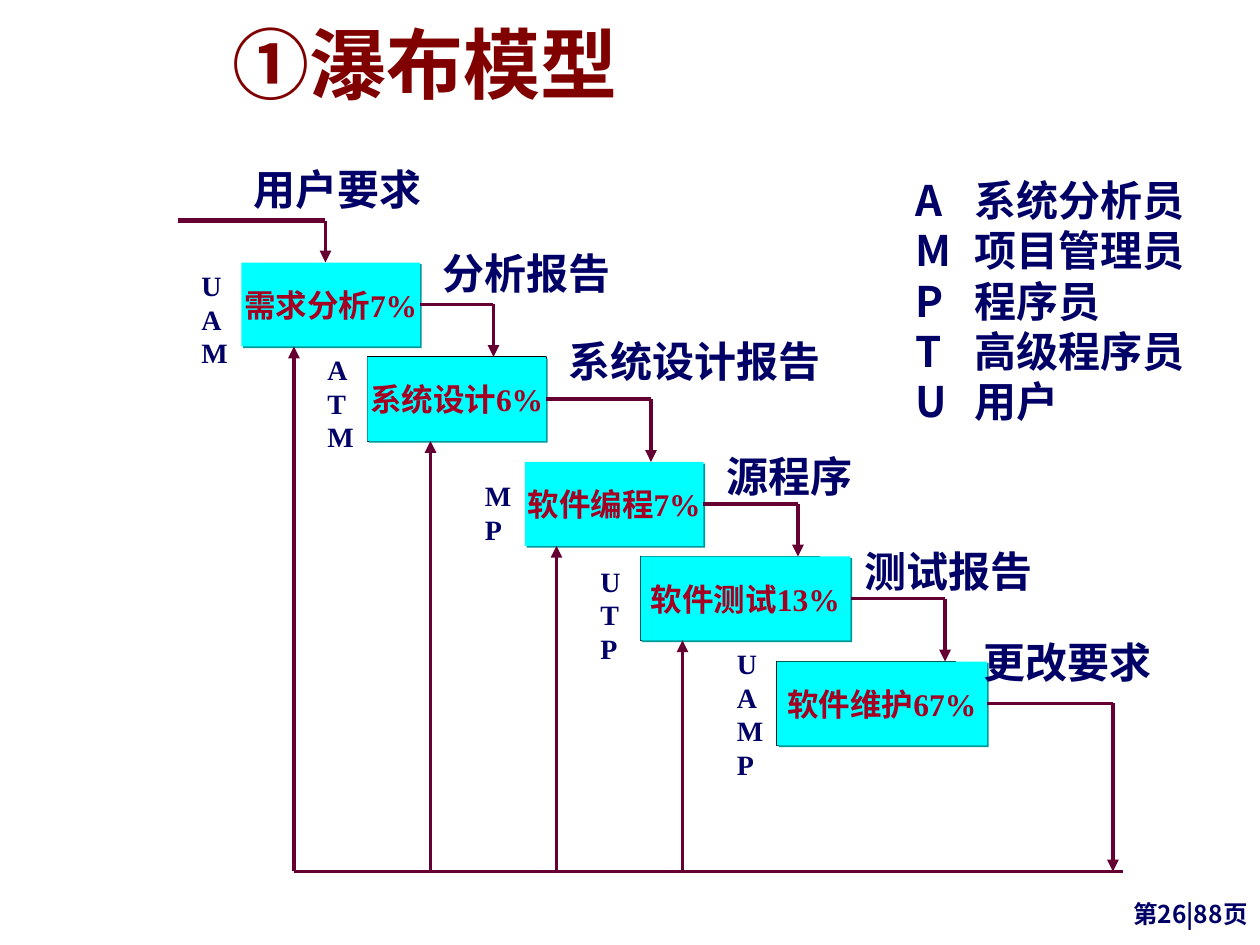
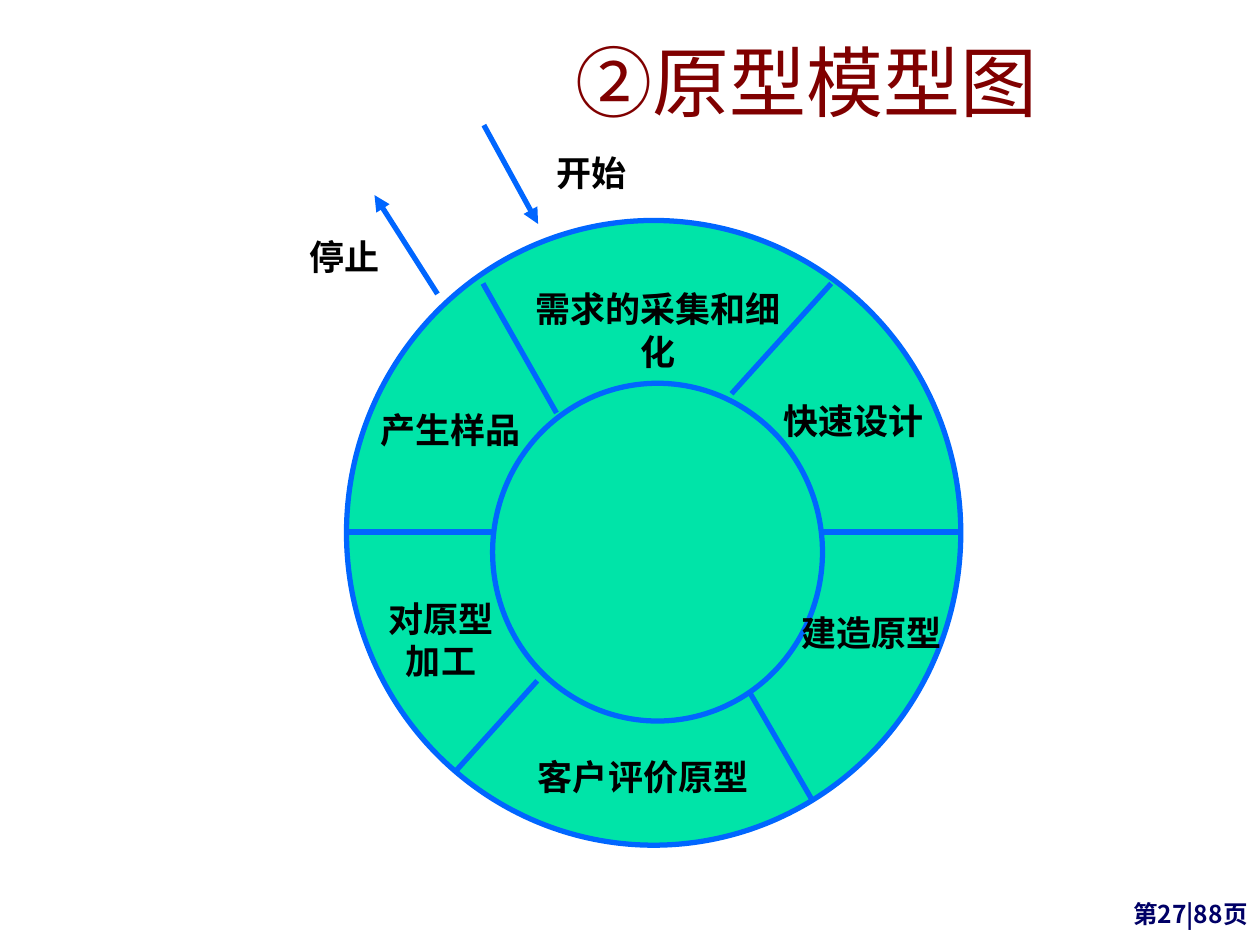
from dataclasses import dataclass

from lxml.etree import SubElement
from pptx import Presentation
from pptx.dml.color import RGBColor
from pptx.enum.shapes import MSO_CONNECTOR as Link, MSO_SHAPE as Preset
from pptx.enum.text import MSO_ANCHOR as Anchor, PP_ALIGN as Align
from pptx.oxml.ns import qn
from pptx.util import Pt


@dataclass(frozen=True)
class Theme:
    title: str = "800000"
    navy: str = "000066"
    stage: str = "00FFFF"
    stage_text: str = "A50021"
    stage_shadow: str = "009999"
    flow: str = "660033"
    ring: str = "00E4A8"
    ring_line: str = "0066FF"
    black: str = "000000"
    sans: str = "Noto Sans CJK SC"
    serif: str = "Times New Roman"
    latin: str = "Arial"
    title_size: int = 44
    label_size: int = 24
    ring_size: int = 20
    stage_size: int = 18
    role_size: int = 16
    footer_size: int = 14


THEME = Theme()
RIGHT_SIDE = 3
PADDING = 14.4  # left and right insets of a text box together

STAGE_HEIGHT = 48
FEEDBACK_Y = 498
# name, left, top, width, roles, roles top, output, output left, output top, drop x
STAGES = [
    ("需求分析7%", 138, 150, 102, "UAM", 150, "分析报告", 246, 138, 282),
    ("系统设计6%", 210, 204, 102, "ATM", 198, "系统设计报告", 318, 188, 372),
    ("软件编程7%", 300, 264, 102, "MP", 270, "源程序", 408, 254, 456),
    ("软件测试13%", 366, 318, 120, "UTP", 319, "测试报告", 487, 308, 540),
    ("软件维护67%", 444, 378, 120, "UAMP", 366, "更改要求", 555, 360, 636),
]
OUTLINED_STAGES = (1, 3, 4)
FEEDBACK_XS = (168, 246, 318, 390)
ROLES = ["A\t系统分析员", "M\t项目管理员", "P\t程序员", "T\t高级程序员", "U\t用户"]

SPOKES = [
    (276, 162, 318, 236), (418, 225, 475, 162), (198, 304, 282, 304),
    (470, 304, 549, 304), (307, 389, 261, 440), (428, 395, 464, 457),
]
# text, centre x, top
RING_LABELS = [
    ("需求的采集和细化", 376, 161), ("快速设计", 488, 225),
    ("建造原型", 498, 346), ("客户评价原型", 367.5, 428),
    ("对原型\n加工", 252, 338), ("产生样品", 257.5, 230),
    ("开始", 338, 83), ("停止", 197, 131),
]


def rgb(code):
    return RGBColor.from_string(code)


def write(frame, text, size, color, font, bold=True, align=Align.LEFT, tab=None):
    """Fill a text frame, one paragraph per line of text."""
    frame.text = text
    for paragraph in frame.paragraphs:
        paragraph.alignment = align
        properties = paragraph._p.get_or_add_pPr()
        if tab:
            stops = SubElement(properties, qn("a:tabLst"))
            SubElement(stops, qn("a:tab"), pos=str(Pt(tab)), algn="l")
        paragraph.font.size = Pt(size)
        paragraph.font.bold = bold
        paragraph.font.color.rgb = rgb(color)
        paragraph.font.name = font
        east_asian = SubElement(properties.find(qn("a:defRPr")), qn("a:ea"))
        east_asian.set("typeface", THEME.sans)


def add_text(slide, box, text, *style, wrap=True, anchor=Anchor.TOP, **options):
    frame = slide.shapes.add_textbox(*map(Pt, box)).text_frame
    frame.word_wrap = wrap
    frame.vertical_anchor = anchor
    write(frame, text, *style, **options)


def add_label(slide, left, top, text, size, font, color, **options):
    """Add an unwrapped label whose box is as wide as its longest line."""
    lines = text.split("\n")
    width = max(map(len, lines)) * size + PADDING
    add_text(slide, (left, top, width, len(lines) * size * 1.2 + 7.2), text,
             size, color, font, wrap=False, **options)


def add_ring_label(slide, center, top, text):
    width = max(map(len, text.split("\n"))) * THEME.ring_size + PADDING
    add_label(slide, center - width / 2, top, text, THEME.ring_size, THEME.latin,
              THEME.black, align=Align.CENTER)


def add_filled(slide, preset, box, fill, line=None, weight=1):
    shape = slide.shapes.add_shape(preset, *map(Pt, box))
    shape.shadow.inherit = False
    shape.fill.solid()
    shape.fill.fore_color.rgb = rgb(fill)
    if line:
        shape.line.color.rgb = rgb(line)
        shape.line.width = Pt(weight)
    else:
        shape.line.fill.background()
    return shape


def add_line(slide, x1, y1, x2, y2, color, weight=2.25, arrow=False):
    line = slide.shapes.add_connector(Link.STRAIGHT, *map(Pt, (x1, y1, x2, y2)))
    line.line.color.rgb = rgb(color)
    line.line.width = Pt(weight)
    properties = line._element.spPr
    if arrow:
        SubElement(properties.find(qn("a:ln")), qn("a:tailEnd"), type="triangle")
    SubElement(properties, qn("a:effectLst"))
    return line


def add_stage(slide, name, box):
    stage = add_filled(slide, Preset.RECTANGLE, box, THEME.stage)
    effects = stage._element.spPr.find(qn("a:effectLst"))
    shadow = SubElement(effects, qn("a:outerShdw"), dist=str(Pt(1.4)),
                        dir=str(45 * 60000), algn="ctr", rotWithShape="0")
    SubElement(shadow, qn("a:srgbClr"), val=THEME.stage_shadow)
    frame = stage.text_frame
    frame.word_wrap = False
    frame.vertical_anchor = Anchor.MIDDLE
    write(frame, name, THEME.stage_size, THEME.stage_text, THEME.serif,
          align=Align.CENTER)
    return stage


def add_page(deck, number):
    slide = deck.slides.add_slide(deck.slide_layouts[6])
    add_text(slide, (570, 504, 150, 30), f"第{number}|88页", THEME.footer_size,
             THEME.navy, THEME.sans, align=Align.RIGHT, anchor=Anchor.BOTTOM)
    return slide


def add_title(slide, box, text, **options):
    add_text(slide, box, text, THEME.title_size, THEME.title, THEME.sans, **options)


def build_waterfall(deck):
    slide = add_page(deck, 26)
    add_title(slide, (126, 0, 516, 66), "①瀑布模型", anchor=Anchor.BOTTOM)

    for index in OUTLINED_STAGES:
        _, left, top, *_ = STAGES[index]
        add_filled(slide, Preset.RECTANGLE, (left, top, 102, STAGE_HEIGHT),
                   THEME.stage, THEME.black)

    add_line(slide, 102, 126, 186, 126, THEME.flow, 3)
    add_line(slide, 186, 126, 186, 150, THEME.flow, arrow=True)
    add_label(slide, 138, 90, "用户要求", THEME.label_size, THEME.serif, THEME.navy)

    drop_ends = [stage[2] for stage in STAGES[1:]] + [FEEDBACK_Y]
    for details, drop_end in zip(STAGES, drop_ends):
        name, left, top, width, roles, roles_top, output, out_x, out_y, drop_x = details
        stage = add_stage(slide, name, (left, top, width, STAGE_HEIGHT))
        middle = top + STAGE_HEIGHT / 2
        exit_line = add_line(slide, left + width, middle, drop_x, middle, THEME.flow)
        exit_line.begin_connect(stage, RIGHT_SIDE)
        add_line(slide, drop_x, middle, drop_x, drop_end, THEME.flow, arrow=True)
        add_label(slide, out_x, out_y, output, THEME.label_size, THEME.serif, THEME.navy)
        add_text(slide, (left - 30, roles_top, 30, len(roles) * 19.2 + 7.2),
                 "\n".join(roles), THEME.role_size, THEME.navy, THEME.serif)

    add_line(slide, FEEDBACK_XS[0], FEEDBACK_Y, 642, FEEDBACK_Y, THEME.flow)
    for x, (_, _, top, *_) in zip(FEEDBACK_XS, STAGES):
        add_line(slide, x, FEEDBACK_Y, x, top + STAGE_HEIGHT, THEME.flow, arrow=True)

    add_text(slide, (516, 96, 184, 151), "\n".join(ROLES), THEME.label_size,
             THEME.navy, THEME.sans, tab=34)


def build_prototype(deck):
    slide = add_page(deck, 27)
    for ring in ((198, 126, 351, 357), (281.5, 219, 188.5, 193)):
        add_filled(slide, Preset.OVAL, ring, THEME.ring, THEME.ring_line, 3)
    add_title(slide, (298, 16, 326, 60), "②原型模型图", bold=False, align=Align.CENTER)

    for spoke in SPOKES:
        add_line(slide, *spoke, THEME.ring_line, 3)
    for start_or_stop in ((276.5, 71.5, 307.5, 128), (250, 168, 214, 111.5)):
        add_line(slide, *start_or_stop, THEME.ring_line, 3, arrow=True)
    for text, center, top in RING_LABELS:
        add_ring_label(slide, center, top, text)


def main():
    deck = Presentation()
    deck.slide_width, deck.slide_height = Pt(720), Pt(540)
    build_waterfall(deck)
    build_prototype(deck)
    deck.save("out.pptx")


if __name__ == "__main__":
    main()
